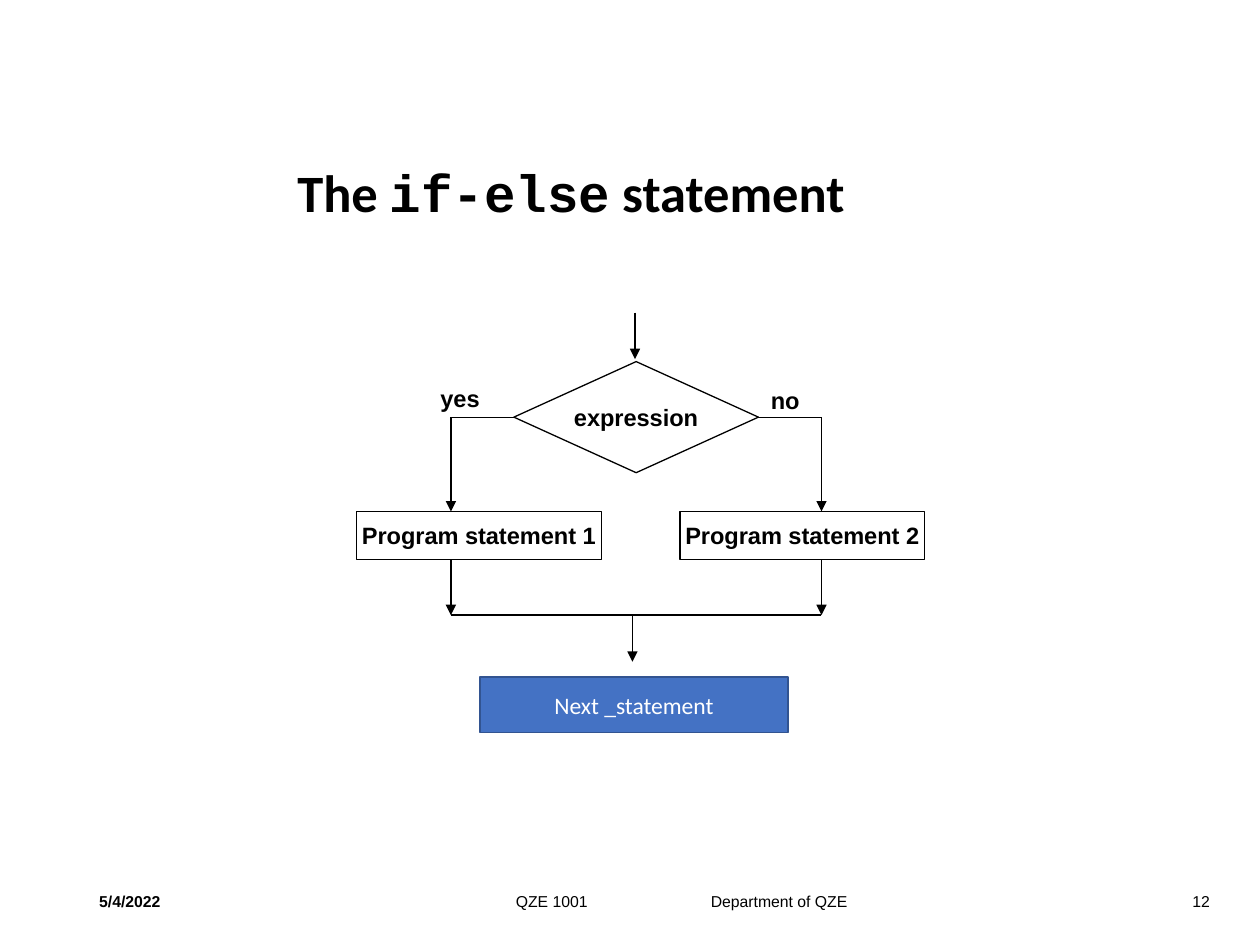
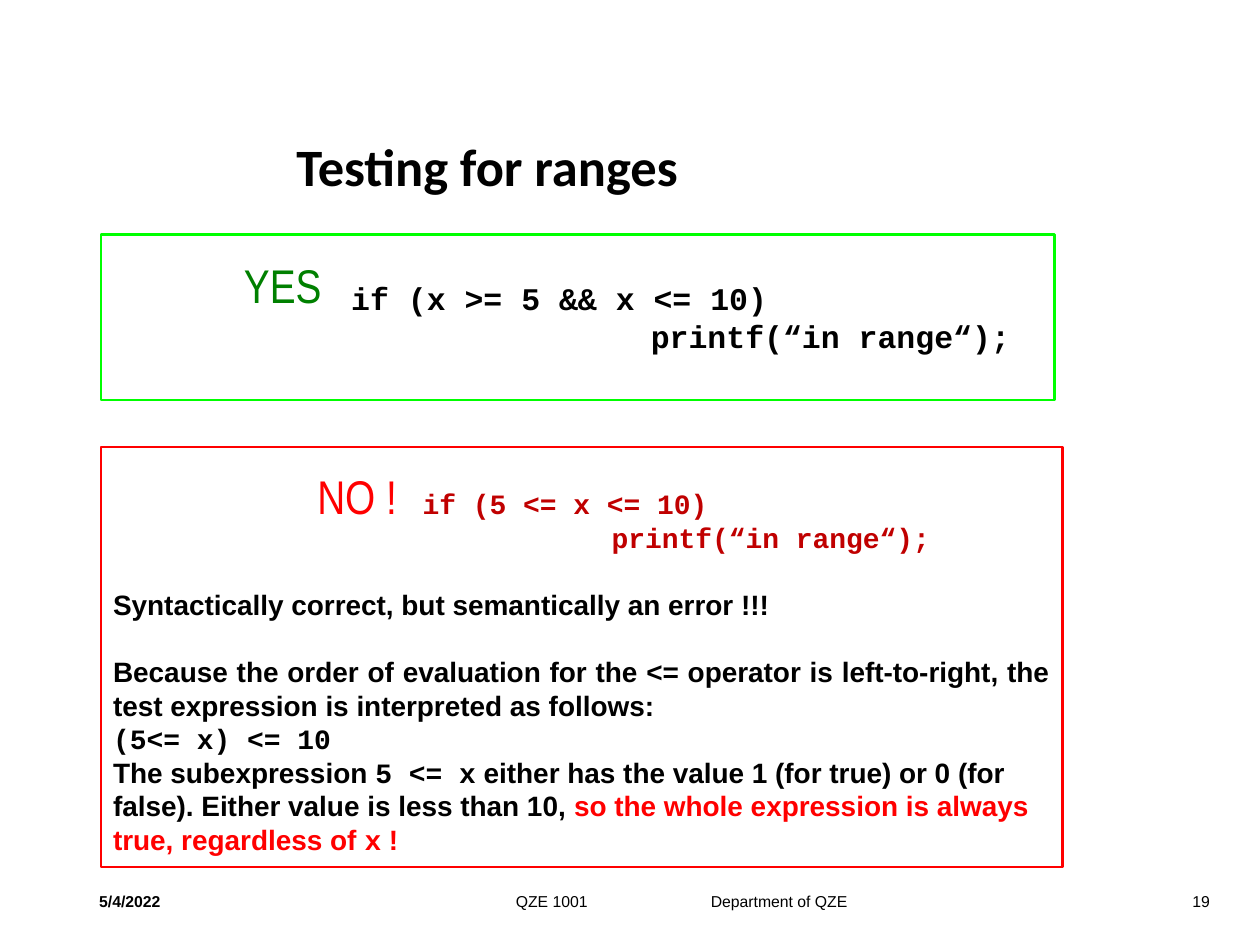
from lxml import etree
from pptx import Presentation
from pptx import util as u
from pptx.dml.color import RGBColor
from pptx.enum import shapes, text
from pptx.oxml.ns import qn

Cm, Pt = u.Cm, u.Pt
colour = RGBColor.from_string
BLACK, WHITE, RED, DARK_RED = "000000", "FFFFFF", "FF0000", "C00000"
GREEN, LIME, BLUE, NAVY = "008000", "00FF00", "4472C4", "325491"
SANS, NARROW, BODY, CODE = "Arial", "Arial Narrow", "Calibri", "Courier New"
LEFT, CENTER, RIGHT, JUSTIFY = (text.PP_ALIGN.LEFT, text.PP_ALIGN.CENTER,
                                text.PP_ALIGN.RIGHT, text.PP_ALIGN.JUSTIFY)
MIDDLE, TOP = text.MSO_ANCHOR.MIDDLE, text.MSO_ANCHOR.TOP


def write(para, spans, size, bold=False, align=LEFT):
    """Fill a paragraph with (words, font name, colour) spans."""
    para.alignment = align
    for words, name, ink in spans:
        span = para.add_run()
        span.text = words
        span.font.name, span.font.size, span.font.bold = name, Pt(size), bold
        span.font.color.rgb = colour(ink)


def add_box(page, place, kind=None, fill=None, line=None, weight=0.75, wrap=True, anchor=MIDDLE):
    """Add a text box, or a preset shape when a kind is given."""
    place = [Cm(length) for length in place]
    if kind is None:
        box = page.shapes.add_textbox(*place)
    else:
        box = page.shapes.add_shape(kind, *place)
        box.shadow.inherit = False
        box.line.color.rgb = colour(line)
        box.line.width = Pt(weight)
        if fill:
            box.fill.solid()
            box.fill.fore_color.rgb = colour(fill)
        else:
            box.fill.background()
    box.text_frame.word_wrap = wrap
    box.text_frame.vertical_anchor = anchor
    return box


deck = Presentation()
deck.slide_width, deck.slide_height = Cm(25.4), Cm(19.05)

# Titles and footers of both slides
titles = [
    (5.74, 3.23, "12", [("The ", BODY), ("if-else", CODE), (" statement", BODY)]),
    (5.72, 2.7, "19", [("Testing for ranges", BODY)]),
]
pages = []
for left, top, number, spans in titles:
    page = deck.slides.add_slide(deck.slide_layouts[5])
    pages.append(page)
    title = page.shapes.title
    title.left, title.top, title.width, title.height = Cm(left), Cm(top), Cm(14.94), Cm(1.42)
    title.text_frame.vertical_anchor = MIDDLE
    title.text_frame.auto_size = text.MSO_AUTO_SIZE.NONE
    para = title.text_frame.paragraphs[0]
    para.line_spacing = 0.9
    write(para, [(words, name, BLACK) for words, name in spans], 30, True)

    footers = [
        (1.75, 2.41, "5/4/2022", True, LEFT),
        (4.6, 18.29, "QZE 1001\tDepartment of QZE", False, LEFT),
        (23.65, 0.99, number, False, RIGHT),
    ]
    for left, width, words, bold, align in footers:
        box = add_box(page, (left, 17.65, width, 1.02))
        para = box.text_frame.paragraphs[0]
        if "\t" in words:
            box.text_frame.margin_left = Cm(5.8)
            tabs = etree.SubElement(para._p.get_or_add_pPr(), qn("a:tabLst"))
            etree.SubElement(tabs, qn("a:tab"), pos=str(Cm(3.93)), algn="l")
        write(para, [(words, SANS, BLACK)], 9, bold, align)

flow_page, range_page = pages

# Flowchart: decision and its two branches
yes_x, no_x, entry_x, exit_x = 9.09, 16.56, 12.8, 12.75
branch_y, statement_y, statement_end, merge_y = 8.41, 10.31, 11.28, 12.4
process, decision = shapes.MSO_SHAPE.FLOWCHART_PROCESS, shapes.MSO_SHAPE.FLOWCHART_DECISION
nodes = [
    ("Program statement 1", process, (7.19, statement_y, 4.93, 0.97)),
    ("Program statement 2", process, (13.71, statement_y, 4.93, 0.97)),
    ("expression", decision, (10.36, 7.29, 4.93, 2.24)),
]
for words, kind, place in nodes:
    box = add_box(flow_page, place, kind, line=BLACK, wrap=False)
    write(box.text_frame.paragraphs[0], [(words, SANS, BLACK)], 13.5, True, CENTER)

for words, place in [("yes", (8.63, 7.62, 1.32, 0.84)), ("no", (15.29, 7.65, 1.09, 0.84))]:
    box = add_box(flow_page, place, wrap=False, anchor=TOP)
    write(box.text_frame.paragraphs[0], [(words, SANS, BLACK)], 13.5, True)

# Flowchart: lines, with an arrowhead on every vertical one
links = [
    (entry_x, 6.3, entry_x, 7.24),
    (yes_x, branch_y, 10.36, branch_y),
    (15.29, branch_y, no_x, branch_y),
    (yes_x, merge_y, no_x, merge_y),
    (exit_x, merge_y, exit_x, 13.34),
]
for x in (yes_x, no_x):
    links += [(x, branch_y, x, statement_y), (x, statement_end, x, merge_y)]
for ends in links:
    link = flow_page.shapes.add_connector(shapes.MSO_CONNECTOR.STRAIGHT, *[Cm(e) for e in ends])
    link.line.color.rgb = colour(BLACK)
    link.line.width = Pt(0.75)
    if ends[0] == ends[2]:
        etree.SubElement(link.line._get_or_add_ln(), qn("a:tailEnd"), type="triangle")
    etree.SubElement(link._element.spPr, qn("a:effectLst"))

# Flowchart: next statement
box = add_box(flow_page, (9.68, 13.65, 6.2, 1.12), shapes.MSO_SHAPE.RECTANGLE, BLUE, NAVY, 1)
write(box.text_frame.paragraphs[0], [("Next _statement", BODY, WHITE)], 13.5, align=CENTER)

# Range tests: each paragraph is (indent, lines of space before, alignment, spans)
good = [
    (4.8, 0, LEFT, [("if (x >= 5 && x <= 10)", CODE, BLACK)]),
    (10.84, 0, LEFT, [("printf(“in range“);", CODE, BLACK)]),
]
bad = [
    (6.24, 0, LEFT, [("if (5 <= x <= 10)", CODE, DARK_RED)]),
    (10.05, 0, LEFT, [("printf(“in range“);", CODE, DARK_RED)]),
    (0, 1, LEFT, [("Syntactically correct, but semantically an error !!!", SANS, BLACK)]),
    (0, 1, JUSTIFY, [("Because the order of evaluation for the <= operator is left-to-right, "
                      "the test expression is interpreted as follows:", SANS, BLACK)]),
    (0, 0, LEFT, [("(5<= x) <= 10", CODE, BLACK)]),
    (0, 0, LEFT, [
        ("The subexpression ", SANS, BLACK),
        ("5 <= x", CODE, BLACK),
        (" either has the value 1 (for true) or 0 (for false). "
         "Either value is less than 10, ", SANS, BLACK),
        ("so the whole expression is always true, regardless of ", SANS, RED),
        ("x", CODE, RED),
        (" !", SANS, RED),
    ]),
]
panels = [
    ((2.03, 4.73, 19.23, 3.33), LIME, 18, 0.89, good),
    ((2.03, 9.02, 19.39, 8.46), RED, 16, 0.79, bad),
]
for place, edge, size, inset, paras in panels:
    box = add_box(range_page, place, shapes.MSO_SHAPE.RECTANGLE, line=edge, weight=1.25, anchor=TOP)
    frame = box.text_frame
    frame.margin_top = Cm(inset)
    pitch = 1.2 * size
    for index, (indent, gap, align, spans) in enumerate(paras):
        para = frame.add_paragraph() if index else frame.paragraphs[0]
        para._p.get_or_add_pPr().set("marL", str(Cm(indent)))
        para.line_spacing = Pt(pitch)
        para.space_before = Pt(gap * pitch)
        write(para, spans, size, True, align)

# Range tests: verdicts, in boxes wide enough for one line
for words, ink, left, top in [("YES", GREEN, 4.4, 5.05), ("NO !", RED, 5.9, 9.3)]:
    box = add_box(range_page, (left, top, 2.6, 1.19), wrap=False, anchor=TOP)
    write(box.text_frame.paragraphs[0], [(words, NARROW, ink)], 27, align=CENTER)

deck.save("out.pptx")
